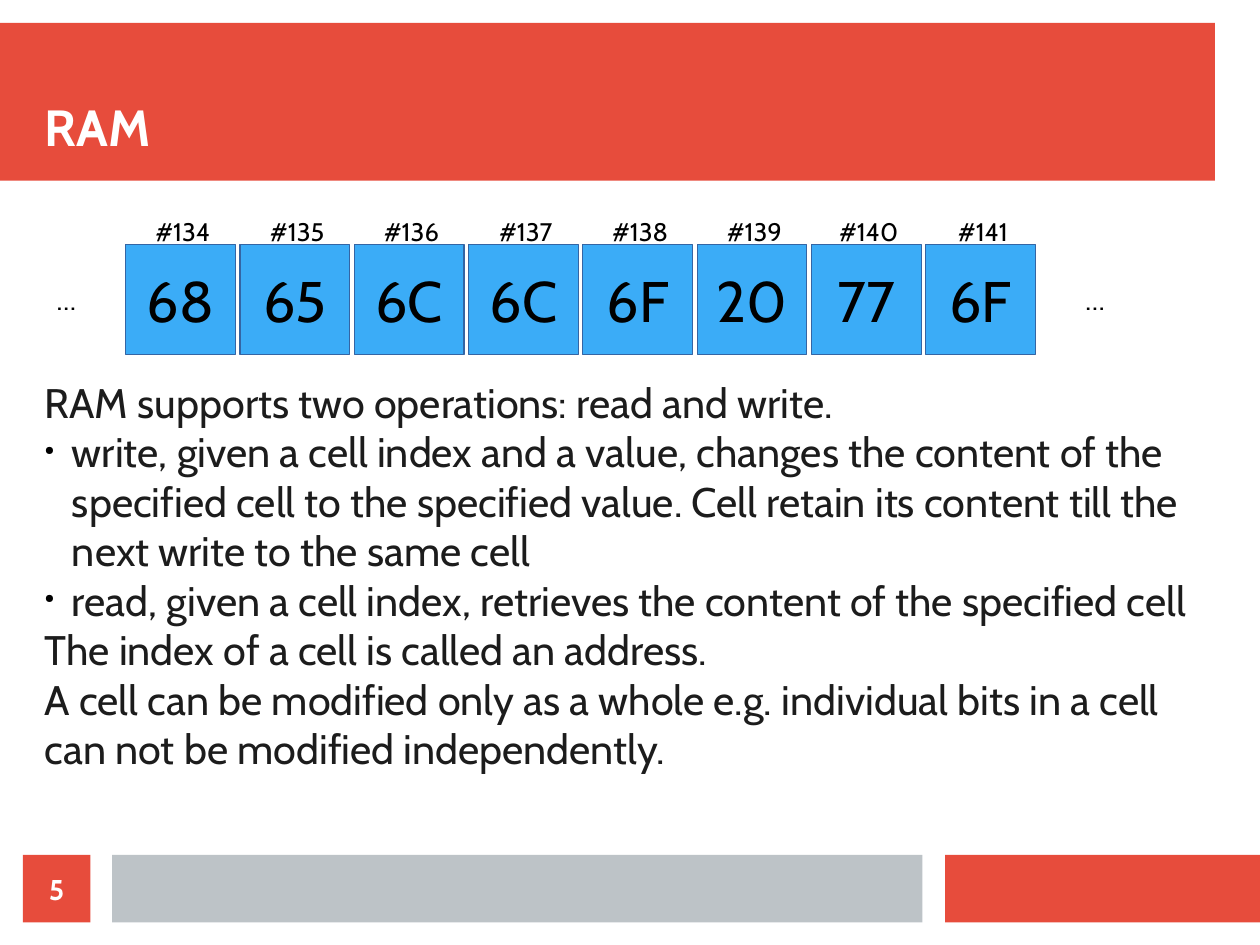
from dataclasses import dataclass
from lxml import etree
from pptx import Presentation
from pptx.dml.color import RGBColor
from pptx.enum.shapes import MSO_SHAPE
from pptx.enum.text import MSO_ANCHOR, PP_ALIGN
from pptx.oxml.ns import qn
from pptx.util import Inches, Pt

RECT = MSO_SHAPE.RECTANGLE
TOP, MID, LOW = MSO_ANCHOR.TOP, MSO_ANCHOR.MIDDLE, MSO_ANCHOR.BOTTOM
LEFT, MIDDLE = PP_ALIGN.LEFT, PP_ALIGN.CENTER


@dataclass
class Theme:
    font: str = "Cabin"
    red: str = "E74C3C"
    gray: str = "BDC3C7"
    blue: str = "3BACF7"
    edge: str = "3465A4"
    white: str = "FFFFFF"
    black: str = "000000"
    ink: str = "1C1C1C"
    title: int = 32
    body: int = 26
    cell: int = 36
    label: int = 16
    small: int = 18


theme = Theme()
deck = Presentation()
deck.slide_width = Inches(28 / 2.54)
deck.slide_height = Inches(21 / 2.54)
slide = deck.slides.add_slide(deck.slide_layouts[6])


def add_box(x, y, w, h, fill=None, edge=None):
    place = Inches(x), Inches(y), Inches(w), Inches(h)
    if fill is None:
        return slide.shapes.add_textbox(*place)
    box = slide.shapes.add_shape(RECT, *place)
    box.shadow.inherit = False
    box.fill.solid()
    box.fill.fore_color.rgb = RGBColor.from_string(fill)
    if edge:
        box.line.color.rgb = RGBColor.from_string(edge)
        box.line.width = Pt(0)
    else:
        box.line.fill.background()
    return box


def add_text(box, lines, size, color, bold=False, align=MIDDLE, anchor=MID):
    frame = box.text_frame
    frame.word_wrap = True
    frame.vertical_anchor = anchor
    frame.margin_left = frame.margin_right = 0
    frame.margin_top = frame.margin_bottom = 0
    for i, line in enumerate(lines):
        para = frame.add_paragraph() if i else frame.paragraphs[0]
        para.alignment = align
        run = para.add_run()
        run.text = line
        run.font.name = theme.font
        run.font.size = Pt(size)
        run.font.bold = bold
        run.font.color.rgb = RGBColor.from_string(color)
    return frame


add_box(0, 0.2, 10.63, 1.38, theme.red)
add_box(8.27, 7.48, 2.76, 0.59, theme.red)
add_box(0.98, 7.48, 7.09, 0.59, theme.gray)

title = add_box(0.39, 0.39, 10.24, 0.98)
add_text(title, ["RAM"], theme.title, theme.white, True, LEFT, LOW)

points = [
    (False, "RAM supports two operations: read and write."),
    (True, "write, given a cell index and a value, changes the content of the "
           "specified cell to the specified value. Cell retain its content "
           "till the next write to the same cell"),
    (True, "read, given a cell index, retrieves the content of the specified cell"),
    (False, "The index of a cell is called an address."),
    (False, "A cell can be modified only as a whole e.g. individual bits in a "
            "cell can not be modified independently."),
]
body = add_box(0.39, 3.3, 10.04, 3.98)
frame = add_text(body, [line for _, line in points], theme.body, theme.ink,
                 align=LEFT, anchor=TOP)
for (dotted, _), para in zip(points, frame.paragraphs):
    if dotted:
        props = para._p.get_or_add_pPr()
        props.set("marL", str(Inches(0.24)))
        props.set("indent", str(Inches(-0.24)))
        tint = etree.SubElement(props, qn("a:buClr"))
        etree.SubElement(tint, qn("a:srgbClr"), val=theme.black)
        etree.SubElement(props, qn("a:buSzPct"), val="30000")
        etree.SubElement(props, qn("a:buChar"), char="●")

values = ["68", "65", "6C", "6C", "6F", "20", "77", "6F"]
for i, value in enumerate(values):
    x = 1.1 + i
    cell = add_box(x, 2.14, 0.96, 0.96, theme.blue, theme.edge)
    add_text(cell, [value], theme.cell, theme.black)
    label = add_box(x, 1.9, 1, 0.24)
    add_text(label, [f"#{134 + i}"], theme.label, theme.black)

for x in (0.1, 9.1):
    add_text(add_box(x, 2.14, 0.96, 0.96), ["…"], theme.small, theme.black)

page = add_box(0.2, 7.48, 0.59, 0.59, theme.red)
add_text(page, ["5"], theme.small, theme.white, True)

deck.save("out.pptx")
